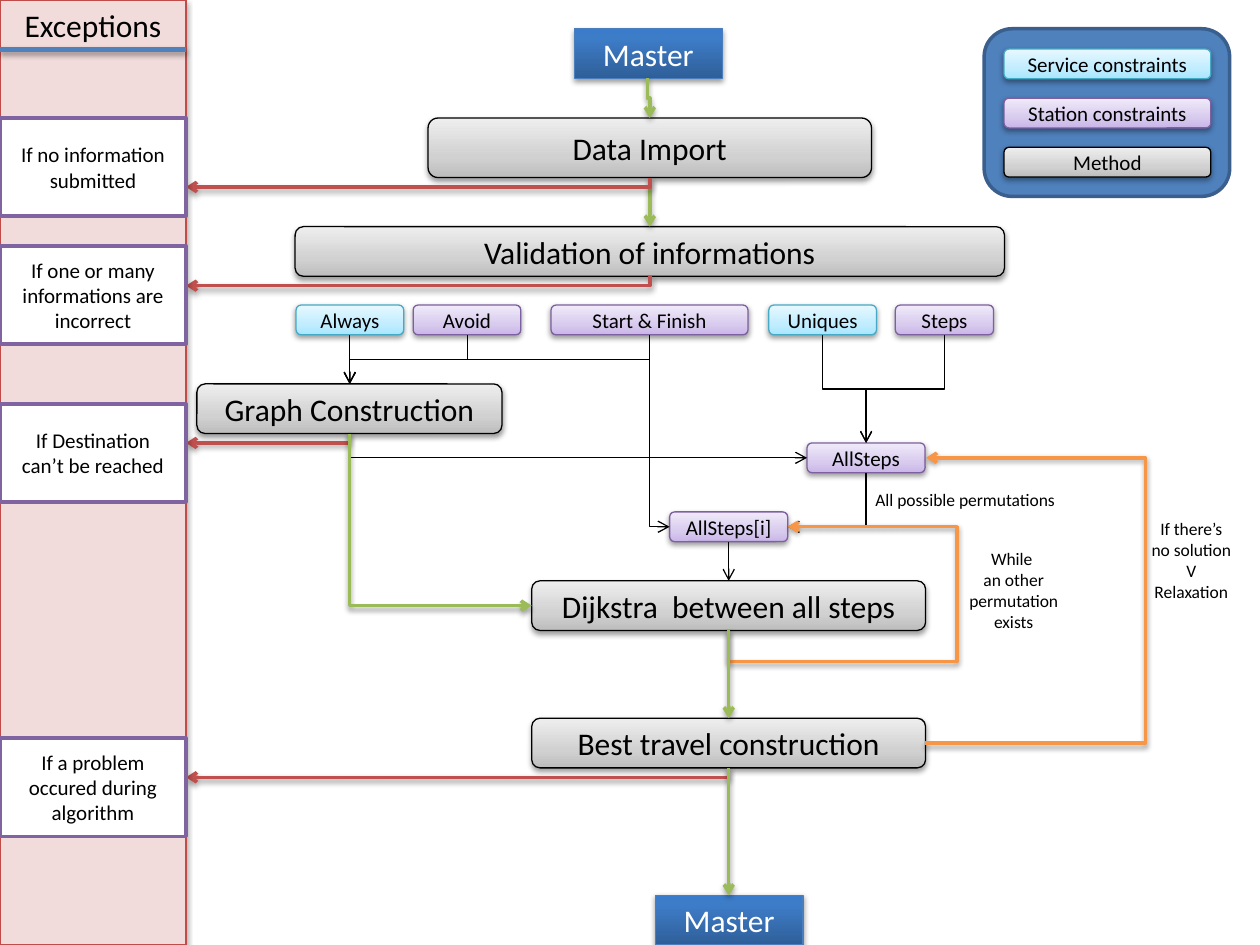
from copy import deepcopy

from pptx import Presentation
from pptx.dml.color import RGBColor
from pptx.enum.shapes import MSO_CONNECTOR, MSO_SHAPE
from pptx.enum.text import MSO_ANCHOR, PP_ALIGN
from pptx.oxml import parse_xml
from pptx.oxml.ns import nsdecls, qn
from pptx.util import Cm, Pt

COLORS = {
    "black": "000000", "white": "FFFFFF", "green": "9BBB59", "red": "C0504D",
    "orange": "F79646", "blue": "4F81BD", "legend line": "3A5F8C",
    "rail": "F2DCDB", "rail line": "BF4C48", "exception line": "8064A2",
    "service line": "46AAC5", "station line": "7D60A0", "master line": "4B7EBC",
}
# Gradients run from bottom to top: (position, colour)
GRADIENTS = {
    "method": [(0, "BDBDBD"), (0.35, "D1D1D1"), (1, "EEEEEE")],
    "station": [(0, "C9B5E8"), (0.35, "D8CBEE"), (1, "F0EAF9")],
    "service": [(0, "A7E6FF"), (0.35, "C1EDFF"), (1, "E7F8FF")],
    "master": [(0, "2F5F99"), (0.8, "3D7CC7"), (1, "3A7CCB")],
}
SHADOW = (
    f'<a:outerShdw {nsdecls("a")} blurRad="40000" dist="20000" dir="5400000" rotWithShape="0">'
    '<a:srgbClr val="000000"><a:alpha val="38000"/></a:srgbClr></a:outerShdw>'
)
RAIL_WIDTH = 3.75

presentation = Presentation()
presentation.slide_width, presentation.slide_height = Cm(25.4), Cm(19.05)
slide = presentation.slides.add_slide(presentation.slide_layouts[6])


def add_box(text, left, top, width, height, *, fill=None, line=None, line_width=0.75,
            size=12, color="black", rounded=False, shadow=False):
    """Add a shape with centred text, or a plain text box when there is no fill."""
    box = tuple(Cm(length) for length in (left, top, width, height))
    if fill is None:
        shape = slide.shapes.add_textbox(*box)
    else:
        preset = MSO_SHAPE.ROUNDED_RECTANGLE if rounded else MSO_SHAPE.RECTANGLE
        shape = slide.shapes.add_shape(preset, *box)
        shape.shadow.inherit = False
        if fill in GRADIENTS:
            shape.fill.gradient()
            shape.fill.gradient_angle = 90
            stop_list = shape._element.spPr.find(".//" + qn("a:gsLst"))
            stop_list.append(deepcopy(stop_list[0]))
            for stop, (position, stop_color) in zip(shape.fill.gradient_stops, GRADIENTS[fill]):
                stop.position = position
                stop.color.rgb = RGBColor.from_string(stop_color)
        else:
            shape.fill.solid()
            shape.fill.fore_color.rgb = RGBColor.from_string(COLORS[fill])
        shape.line.color.rgb = RGBColor.from_string(COLORS[line])
        shape.line.width = Pt(line_width)
        if shadow:
            shape._element.spPr.find(qn("a:effectLst")).append(parse_xml(SHADOW))
    frame = shape.text_frame
    frame.word_wrap = True
    frame.vertical_anchor = MSO_ANCHOR.TOP if fill is None else MSO_ANCHOR.MIDDLE
    frame.text = text
    for paragraph in frame.paragraphs:
        paragraph.alignment = PP_ALIGN.CENTER
        for run in paragraph.runs:
            run.font.name = "Calibri"
            run.font.size = Pt(size)
            run.font.color.rgb = RGBColor.from_string(COLORS[color])


def add_line(start, end, color, *, parts=3, vertical=True, adjust=(), width=2, arrow=True):
    """Add a connector of so many parts; a vertical one leaves its start up or down."""
    kind = MSO_CONNECTOR.STRAIGHT if parts == 1 else MSO_CONNECTOR.ELBOW
    connector = slide.shapes.add_connector(kind, *(Cm(length) for length in (*start, *end)))
    properties = connector._element.spPr
    if parts > 1:
        geometry = properties.find(qn("a:prstGeom"))
        geometry.set("prst", f"bentConnector{parts}")
        for number, value in enumerate(adjust, 1):
            geometry.find(qn("a:avLst")).append(parse_xml(
                f'<a:gd {nsdecls("a")} name="adj{number}" fmla="val {round(value * 100000)}"/>'))
        if vertical:
            across, down = end[0] - start[0], end[1] - start[1]
            connector.left = Cm((start[0] + end[0] - abs(down)) / 2)
            connector.top = Cm((start[1] + end[1] - abs(across)) / 2)
            connector.width, connector.height = Cm(abs(down)), Cm(abs(across))
            down_right = across > 0 and down > 0
            frame = properties.find(qn("a:xfrm"))
            frame.set("rot", str((270 if down_right else 90) * 60000))
            frame.set("flipH", str(int(down_right or down < 0)))
            frame.set("flipV", str(int(across > 0 and down < 0)))
    connector.line.color.rgb = RGBColor.from_string(COLORS[color])
    connector.line.width = Pt(width)
    if arrow:
        properties.find(qn("a:ln")).append(parse_xml(f'<a:tailEnd {nsdecls("a")} type="arrow"/>'))
    effects = parse_xml(f'<a:effectLst {nsdecls("a")}/>')
    if color != "black":
        effects.append(parse_xml(SHADOW))
    properties.append(effects)


# Steps of the algorithm
for text, left, top, width, height in [
    ("Data Import", 8.63, 2.38, 8.94, 1.2),
    ("Validation of informations", 5.95, 4.57, 14.3, 1),
    ("Graph Construction", 3.97, 7.74, 6.15, 1),
    ("Dijkstra  between all steps", 10.72, 11.71, 7.94, 1),
    ("Best travel construction", 10.72, 14.48, 7.94, 1),
]:
    add_box(text, left, top, width, height, fill="method", line="black",
            size=18, rounded=True, shadow=True)

# Constraints, and the legend on its panel
add_box("", 19.84, 0.58, 4.95, 3.38, fill="blue", line="legend line", line_width=2, rounded=True)
for text, kind, left, top, width in [
    ("Always", "service", 5.97, 6.15, 2.17),
    ("Avoid", "station", 8.33, 6.15, 2.17),
    ("Start & Finish", "station", 11.11, 6.15, 3.97),
    ("Uniques", "service", 15.5, 6.15, 2.17),
    ("Steps", "station", 18.05, 6.15, 1.98),
    ("AllSteps", "station", 16.27, 8.93, 2.38),
    ("AllSteps[i]", "station", 13.5, 10.32, 2.38),
    ("Service constraints", "service", 20.24, 0.99, 4.17),
    ("Station constraints", "station", 20.24, 1.98, 4.17),
    ("Method", "method", 20.24, 2.97, 4.17),
]:
    line = "black" if kind == "method" else f"{kind} line"
    add_box(text, left, top, width, 0.6, fill=kind, line=line, rounded=True, shadow=True)

for left, top in [(11.58, 0.58), (13.21, 18.05)]:
    add_box("Master", left, top, 2.98, 1, fill="master", line="master line",
            size=18, color="white", shadow=True)

# Thin data flow
for start, end, parts in [
    ((17.46, 9.53), (15.88, 10.62), 2),
    ((7.05, 6.75), (7.05, 7.74), 3),
    ((9.42, 6.75), (7.05, 7.74), 3),
    ((13.1, 6.75), (7.05, 7.74), 3),
    ((13.1, 6.75), (13.5, 10.62), 2),
    ((16.58, 6.75), (17.46, 8.93), 3),
    ((19.04, 6.75), (17.46, 8.93), 3),
    ((14.69, 10.92), (14.69, 11.71), 3),
    ((7.05, 8.74), (16.27, 9.23), 2),
]:
    add_line(start, end, "black", parts=parts, width=0.75)

# Loops back, main flow and exits to the exceptions
add_line((14.69, 12.71), (15.88, 10.62), "orange", parts=4, adjust=(-0.3, 3.87))
add_line((18.65, 14.98), (18.67, 9.23), "orange", vertical=False, adjust=(222,))
add_line((13.05, 1.58), (13.1, 2.38), "green")
add_line((13.1, 3.58), (13.1, 4.57), "green")
add_line((14.69, 12.71), (14.69, 14.48), "green")
for x, y in [(13.1, 3.58), (13.1, 5.57), (7.05, 8.74), (14.69, 15.48)]:
    add_line((x, y), (RAIL_WIDTH, y + 0.19), "red", parts=2)
add_line((14.69, 15.48), (14.69, 18.05), "green")
add_line((7.05, 8.74), (10.72, 12.21), "green", parts=2)

# Exceptions rail
add_box("", 0, 0, RAIL_WIDTH, 19.05, fill="rail", line="rail line", shadow=True)
add_box("Exceptions", 0, 0, RAIL_WIDTH, 1.03, size=18)
add_line((0, 1), (RAIL_WIDTH, 1), "blue", parts=1, width=3, arrow=False)
for text, top in [
    ("If no information submitted", 2.38),
    ("If one or many informations are incorrect", 4.96),
    ("If Destination\vcan’t be reached", 8.14),
    ("If a problem occured during algorithm", 14.88),
]:
    add_box(text, 0, top, RAIL_WIDTH, 1.98, fill="white", line="exception line", line_width=2)

# Notes beside the loops
for text, left, top, width, height in [
    ("All possible permutations", 17.07, 9.73, 4.77, 0.68),
    ("While \van other\vpermutation\vexists", 19.05, 10.92, 2.77, 1.95),
    ("If there’s\vno solution\nV\nRelaxation", 22.63, 10.32, 2.77, 1.95),
]:
    add_box(text, left, top, width, height, size=10)

presentation.save("out.pptx")
